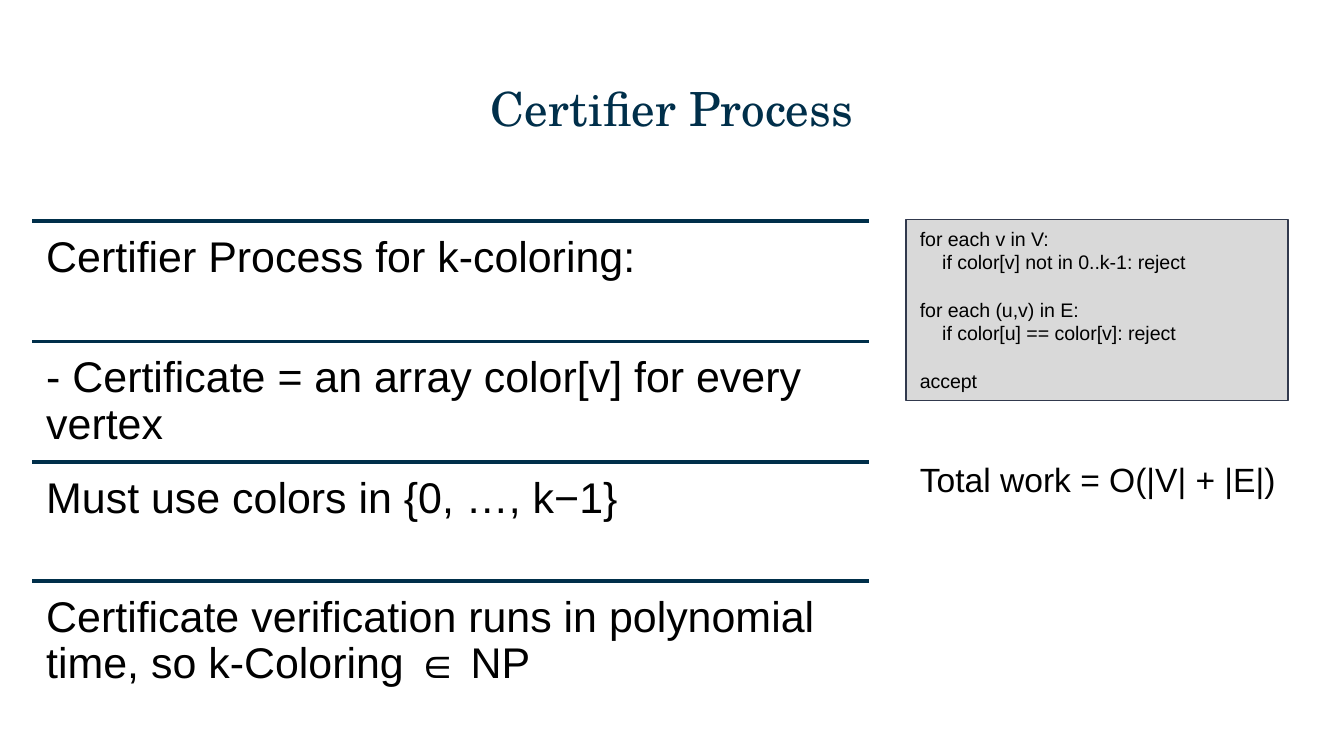
from pptx import Presentation
from pptx import util as u
from pptx.dml.color import RGBColor
from pptx.enum import shapes, text
from pptx.oxml.ns import qn
from lxml import etree

PX = 9525  # EMU per px, 96 px to the inch
NAVY = RGBColor(0x00, 0x2F, 0x4A)
BLACK = RGBColor(0x00, 0x00, 0x00)
GREY = RGBColor(0xD9, 0xD9, 0xD9)
SLATE = RGBColor(0x31, 0x39, 0x4D)


def write(box, lines, size, font="Arial", color=BLACK, align=text.PP_ALIGN.LEFT,
          anchor=text.MSO_ANCHOR.TOP, inset=(10, 10), spacing=1.0):
    """Fill a box with one paragraph per line; inset is (sides, top and bottom)."""
    frame = box.text_frame
    frame.word_wrap = True
    frame.vertical_anchor = anchor
    frame.margin_left = frame.margin_right = inset[0] * PX
    frame.margin_top = frame.margin_bottom = inset[1] * PX
    for i, line in enumerate(lines):
        para = frame.paragraphs[0] if i == 0 else frame.add_paragraph()
        para.alignment = align
        para.line_spacing = spacing
        span = para.add_run()
        span.text = line
        span.font.size = u.Pt(size)
        span.font.name = font
        span.font.color.rgb = color
    return frame.paragraphs


deck = Presentation()
deck.slide_width = 960 * PX
deck.slide_height = 540 * PX
page = deck.slides.add_slide(deck.slide_layouts[6])

title = page.shapes.add_textbox(33 * PX, 47 * PX, 894 * PX, 60 * PX)
write(title, ["Certifier Process"], 25.2, font="TeX Gyre Schola", color=NAVY,
      align=text.PP_ALIGN.CENTER, anchor=text.MSO_ANCHOR.MIDDLE)

# Four ruled rows share the height of the list equally
steps = [
    "Certifier Process for k-coloring:",
    "- Certificate = an array color[v] for every vertex",
    "Must use colors in {0, …, k−1}",
    "Certificate verification runs in polynomial time, so k-Coloring ∈ NP",
]
LEFT, TOP, WIDTH, HEIGHT = 23, 158, 598, 343
for i, step in enumerate(steps):
    y = TOP + round(i * HEIGHT / len(steps))
    rule = page.shapes.add_connector(shapes.MSO_CONNECTOR.STRAIGHT,
                                     LEFT * PX, y * PX, (LEFT + WIDTH) * PX, y * PX)
    rule.line.color.rgb = NAVY
    rule.line.width = u.Pt(2)
    etree.SubElement(rule._element.spPr, qn("a:effectLst"))
    row = page.shapes.add_textbox(LEFT * PX, y * PX, WIDTH * PX, 86 * PX)
    write(row, [step], 23, spacing=0.9)

code = page.shapes.add_shape(shapes.MSO_SHAPE.RECTANGLE, 647 * PX, 157 * PX, 273 * PX, 129 * PX)
code.shadow.inherit = False
code.fill.solid()
code.fill.fore_color.rgb = GREY
code.line.color.rgb = SLATE
code.line.width = u.Pt(0.75)
code_lines = [
    "for each v in V:",
    "if color[v] not in 0..k-1: reject",
    "for each (u,v) in E:",
    "if color[u] == color[v]: reject",
    "accept",
]
for i, para in enumerate(write(code, code_lines, 10.5, inset=(10, 5))):
    if i % 2:  # loop body
        para._p.get_or_add_pPr().set("marL", str(16 * PX))
    elif i:  # new block
        para.space_before = u.Pt(12.8)

total = page.shapes.add_textbox(647 * PX, 323 * PX, 290 * PX, 38 * PX)
write(total, ["Total work = O(|V| + |E|)"], 18, inset=(10, 5))

deck.save("out.pptx")
